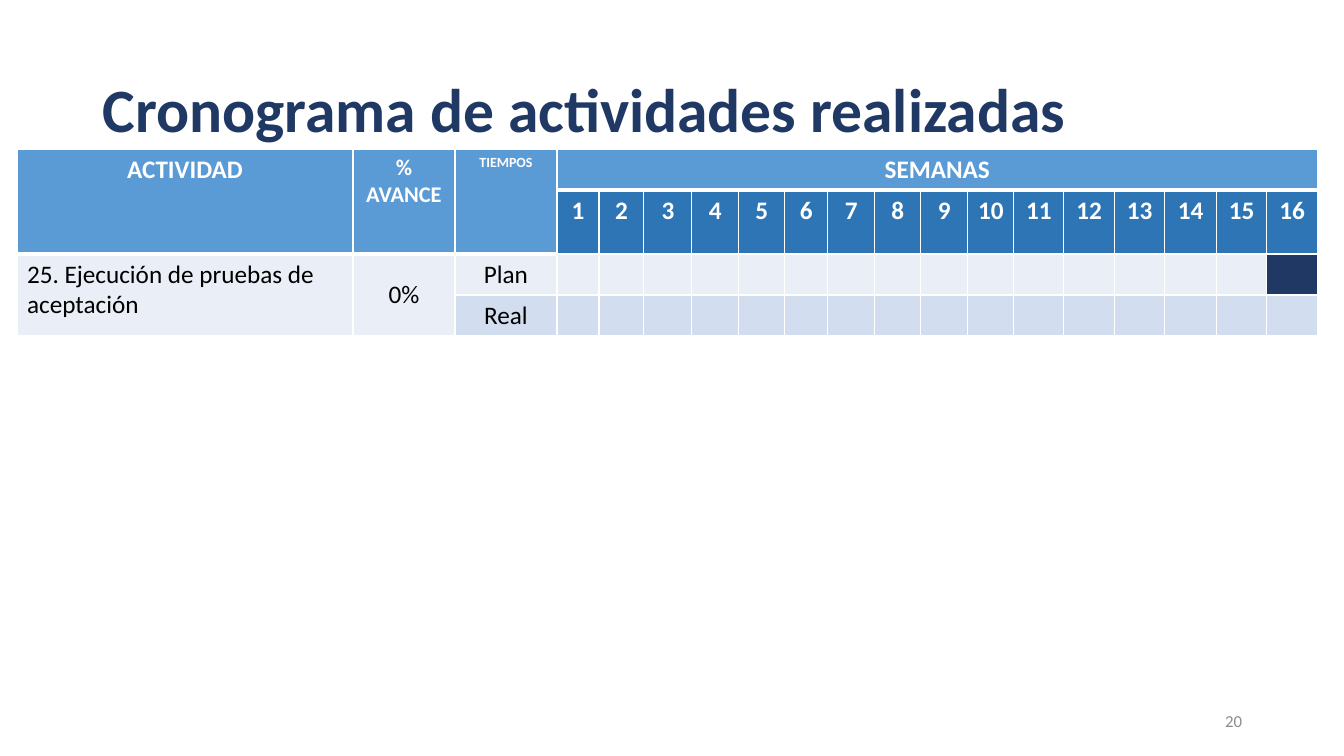
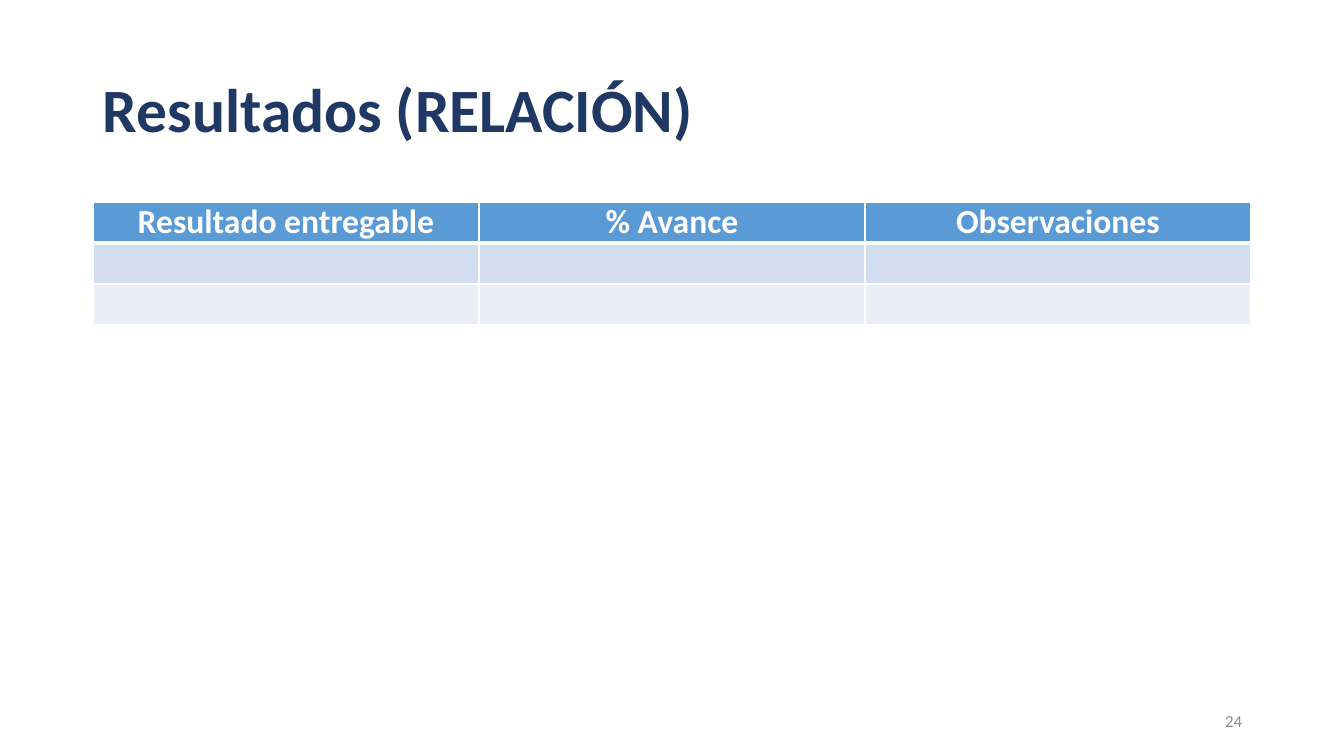
"""Builds an activity schedule slide and a results slide."""
import pptx
import pptx.dml.color
import pptx.enum.text
import pptx.oxml
import pptx.oxml.ns
import pptx.util

ALIGN = pptx.enum.text.PP_ALIGN
ANCHOR = pptx.enum.text.MSO_ANCHOR


def px(length):
    return pptx.util.Emu(round(length * 914400 / 100.8))


def color(value):
    return pptx.dml.color.RGBColor.from_string(value)


class Deck:
    FONT = "Calibri"
    NAVY = "203864"
    HEADER = "5B9BD5"
    WEEK = "2E75B6"
    LIGHT = "EAEFF7"
    BAND = "D2DEEF"
    WHITE = "FFFFFF"
    BLACK = "000000"
    GRAY = "8C8C8C"
    THIN = pptx.util.Pt(1)
    THICK = pptx.util.Pt(3)

    def __init__(self):
        self.presentation = pptx.Presentation()
        self.presentation.slide_width = px(1344)
        self.presentation.slide_height = px(756)
        self.slide = None

    def add_slide(self, title, number):
        self.slide = self.presentation.slides.add_slide(self.presentation.slide_layouts[6])
        paragraph = self.text(93, 40, 1159, 146, title, 44, self.NAVY, bold=True)
        paragraph.line_spacing = 0.9
        self.text(950, 701, 302, 40, number, 12, self.GRAY, ALIGN.RIGHT)

    def set_text(self, text_frame, text, size, fill, align, bold):
        text_frame.text = text
        paragraph = text_frame.paragraphs[0]
        paragraph.alignment = align
        font = paragraph.runs[0].font
        font.name = self.FONT
        font.size = pptx.util.Pt(size)
        font.bold = bold
        font.color.rgb = color(fill)
        return paragraph

    def text(self, left, top, width, height, text, size, fill, align=ALIGN.LEFT, bold=False):
        shape = self.slide.shapes.add_textbox(px(left), px(top), px(width), px(height))
        shape.text_frame.word_wrap = True
        shape.text_frame.vertical_anchor = ANCHOR.MIDDLE
        return self.set_text(shape.text_frame, text, size, fill, align, bold)

    def table(self, left, top, columns, rows, fills):
        frame = self.slide.shapes.add_table(
            len(rows), len(columns), px(left), px(top), px(sum(columns)), px(sum(rows)))
        table = frame.table
        table.first_row = False
        table.horz_banding = False
        for column, width in zip(table.columns, columns):
            column.width = px(width)
        for row, height, fill in zip(table.rows, rows, fills):
            row.height = px(height)
            for cell in row.cells:
                self.add_borders(cell)
                self.fill(cell, fill)
        return table

    def fill(self, cell, fill):
        cell.fill.solid()
        cell.fill.fore_color.rgb = color(fill)

    def add_borders(self, cell):
        properties = cell._tc.get_or_add_tcPr()
        for side in "LRTB":
            properties.append(pptx.oxml.parse_xml(
                f'<a:ln{side} {pptx.oxml.ns.nsdecls("a")} w="{self.THIN}"><a:solidFill>'
                f'<a:srgbClr val="{self.WHITE}"/></a:solidFill></a:ln{side}>'))

    def thick_rule(self, table, row, columns):
        for column in columns:
            for index, side in ((row, "a:lnB"), (row + 1, "a:lnT")):
                properties = table.cell(index, column)._tc.get_or_add_tcPr()
                properties.find(pptx.oxml.ns.qn(side)).set("w", str(self.THICK))

    def header(self, cell, text, size=18, fill=HEADER):
        self.fill(cell, fill)
        self.set_text(cell.text_frame, text, size, self.WHITE, ALIGN.CENTER, True)

    def body(self, cell, text, align=ALIGN.CENTER, anchor=ANCHOR.MIDDLE):
        cell.vertical_anchor = anchor
        self.set_text(cell.text_frame, text, 18, self.BLACK, align, False)


def schedule_slide(deck):
    deck.add_slide("Cronograma de actividades realizadas", "20")
    weeks = [42, 45, 48, 47, 46, 43, 47, 46, 47, 46, 50, 51, 50, 52, 50, 51]
    table = deck.table(17, 149, [336, 102, 102] + weeks, [41, 64, 41, 41],
                       [deck.HEADER, deck.HEADER, deck.LIGHT, deck.BAND])
    deck.thick_rule(table, 0, range(3, 19))
    deck.thick_rule(table, 1, range(3))
    for column, (label, size) in enumerate([("ACTIVIDAD", 18), ("% AVANCE", 16), ("TIEMPOS", 10)]):
        table.cell(0, column).merge(table.cell(1, column))
        deck.header(table.cell(0, column), label, size)
    table.cell(0, 3).merge(table.cell(0, 18))
    deck.header(table.cell(0, 3), "SEMANAS")
    for week in range(1, 17):
        deck.header(table.cell(1, week + 2), str(week), fill=deck.WEEK)
    for column in range(2):
        table.cell(2, column).merge(table.cell(3, column))
    deck.body(table.cell(2, 0), "25. Ejecución de pruebas de aceptación", ALIGN.LEFT, ANCHOR.TOP)
    deck.body(table.cell(2, 1), "0%")
    deck.body(table.cell(2, 2), "Plan")
    deck.body(table.cell(3, 2), "Real")
    deck.fill(table.cell(2, 18), deck.NAVY)


def results_slide(deck):
    deck.add_slide("Resultados (RELACIÓN)", "24")
    table = deck.table(93, 202, [386] * 3, [41] * 3, [deck.HEADER, deck.BAND, deck.LIGHT])
    deck.thick_rule(table, 0, range(3))
    for column, label in enumerate(["Resultado entregable", "% Avance", "Observaciones"]):
        cell = table.cell(0, column)
        cell.margin_left = cell.margin_right = px(7)
        cell.margin_top = cell.margin_bottom = 0
        deck.header(cell, label, 24)


def main():
    deck = Deck()
    schedule_slide(deck)
    results_slide(deck)
    deck.presentation.save("out.pptx")


if __name__ == "__main__":
    main()
